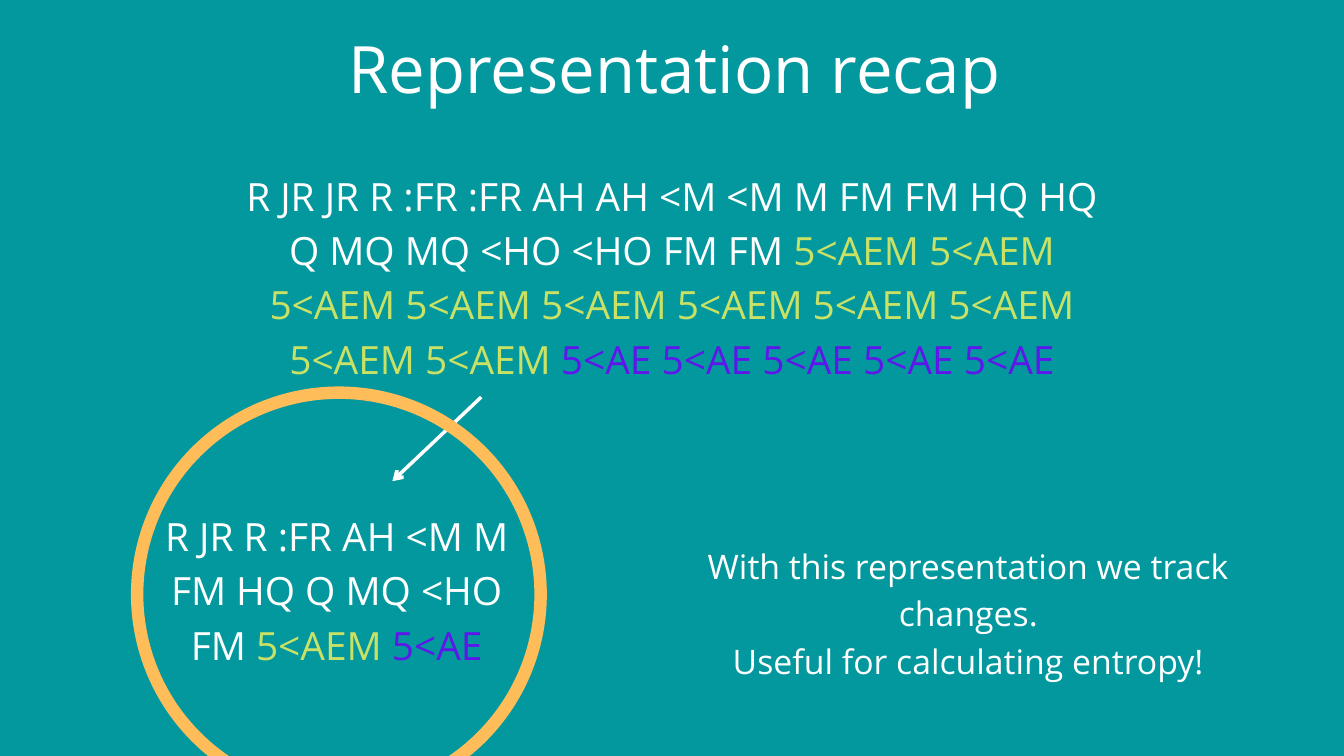
from typing import NamedTuple

from lxml.etree import SubElement
from pptx import Presentation
from pptx.dml.color import RGBColor
from pptx.enum.shapes import MSO_CONNECTOR, MSO_SHAPE
from pptx.enum.text import MSO_ANCHOR, MSO_AUTO_SIZE, PP_ALIGN
from pptx.oxml.ns import qn
from pptx.util import Cm, Pt

TEAL = "03989E"
WHITE = "FFFFFF"
LIME = "C9E265"
VIOLET = "5E17EB"
ORANGE = "FFBD59"
FONT = "Open Sans"


class Area(NamedTuple):
    left: float
    top: float
    width: float
    height: float

    def lengths(self) -> list[Cm]:
        return [Cm(value) for value in self]


class Span(NamedTuple):
    text: str
    color: str = WHITE


class TextBlock(NamedTuple):
    area: Area
    paragraphs: list[list[Span]]
    size: float
    leading: float


def paint(color_format, color: str) -> None:
    color_format.rgb = RGBColor.from_string(color)


def repeat(word: str, count: int) -> str:
    return " ".join([word] * count)


def add_span(para, text: str, *, size: float, color: str) -> None:
    span = para.add_run()
    span.text = text
    span.font.name = FONT
    span.font.size = Pt(size)
    paint(span.font.color, color)


def write_block(box, block: TextBlock) -> None:
    box.left, box.top, box.width, box.height = block.area.lengths()
    frame = box.text_frame
    frame.word_wrap = True
    frame.auto_size = MSO_AUTO_SIZE.NONE
    frame.vertical_anchor = MSO_ANCHOR.TOP
    frame.margin_left = frame.margin_right = frame.margin_top = frame.margin_bottom = 0
    for index, spans in enumerate(block.paragraphs):
        para = frame.add_paragraph() if index else frame.paragraphs[0]
        para.alignment = PP_ALIGN.CENTER
        para.line_spacing = Pt(block.leading)
        for text, color in spans:
            add_span(para, text, size=block.size, color=color)


def add_ring(page, area: Area, thickness: float, color: str) -> None:
    ring = page.shapes.add_shape(MSO_SHAPE.DONUT, *area.lengths())
    ring.shadow.inherit = False
    ring.adjustments[0] = thickness / area.width
    ring.fill.solid()
    paint(ring.fill.fore_color, color)
    ring.line.fill.background()


def add_arrow(page, start: tuple[float, float], end: tuple[float, float], color: str) -> None:
    ends = [Cm(value) for value in start + end]
    arrow = page.shapes.add_connector(MSO_CONNECTOR.STRAIGHT, *ends)
    arrow.line.width = Pt(3.75)
    paint(arrow.line.color, color)
    SubElement(arrow.line._get_or_add_ln(), qn("a:tailEnd"), type="arrow")
    SubElement(arrow._element.spPr, qn("a:effectLst"))


TITLE = TextBlock(Area(11.61, 0.58, 27.76, 3.48), [[Span("Representation recap")]], 70, 98)

TEXTS = [
    TextBlock(
        Area(8.94, 6.22, 32.92, 8.08),
        [[
            Span("R JR JR R :FR :FR AH AH <M <M M FM FM HQ HQ Q MQ MQ <HO <HO FM FM "),
            Span(repeat("5<AEM", 10) + " ", LIME),
            Span(repeat("5<AE", 5), VIOLET),
        ]],
        41.7,
        58.3,
    ),
    TextBlock(
        Area(5.59, 19.08, 14.27, 6.02),
        [[
            Span("R JR R :FR AH <M M FM HQ Q MQ <HO FM "),
            Span("5<AEM ", LIME),
            Span("5<AE", VIOLET),
        ]],
        41.7,
        58.4,
    ),
    TextBlock(
        Area(24.26, 20.37, 24.69, 3.48),
        [
            [Span("With this representation we track changes.")],
            [Span("Useful for calculating entropy!")],
        ],
        36.2,
        50.7,
    ),
]


def main() -> None:
    deck = Presentation()
    deck.slide_width, deck.slide_height = Cm(50.8), Cm(28.58)
    page = deck.slides.add_slide(deck.slide_layouts[5])
    page.background.fill.solid()
    paint(page.background.fill.fore_color, TEAL)
    add_arrow(page, (18.19, 15.01), (14.83, 18.19), WHITE)
    add_ring(page, Area(4.95, 14.61, 15.72, 15.72), 0.47, ORANGE)
    write_block(page.shapes.title, TITLE)
    for block in TEXTS:
        write_block(page.shapes.add_textbox(*block.area.lengths()), block)
    deck.save("out.pptx")


if __name__ == "__main__":
    main()
